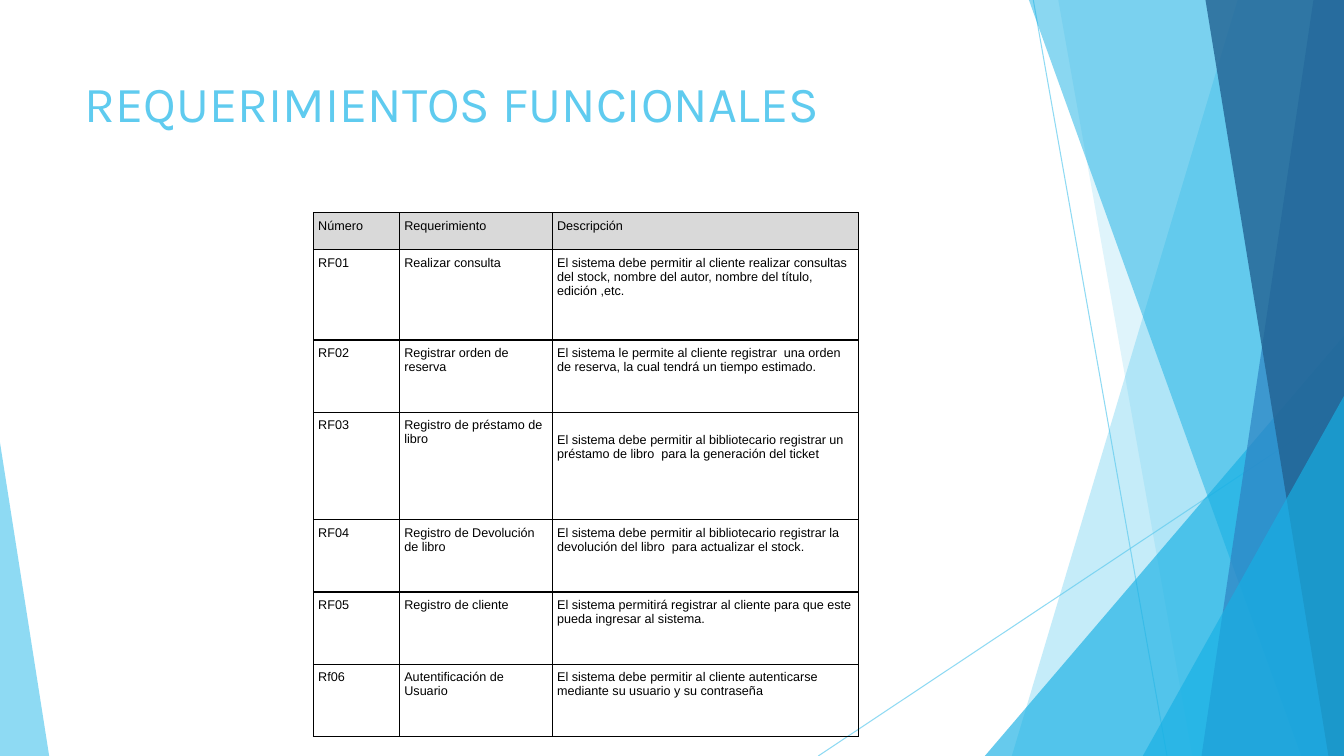
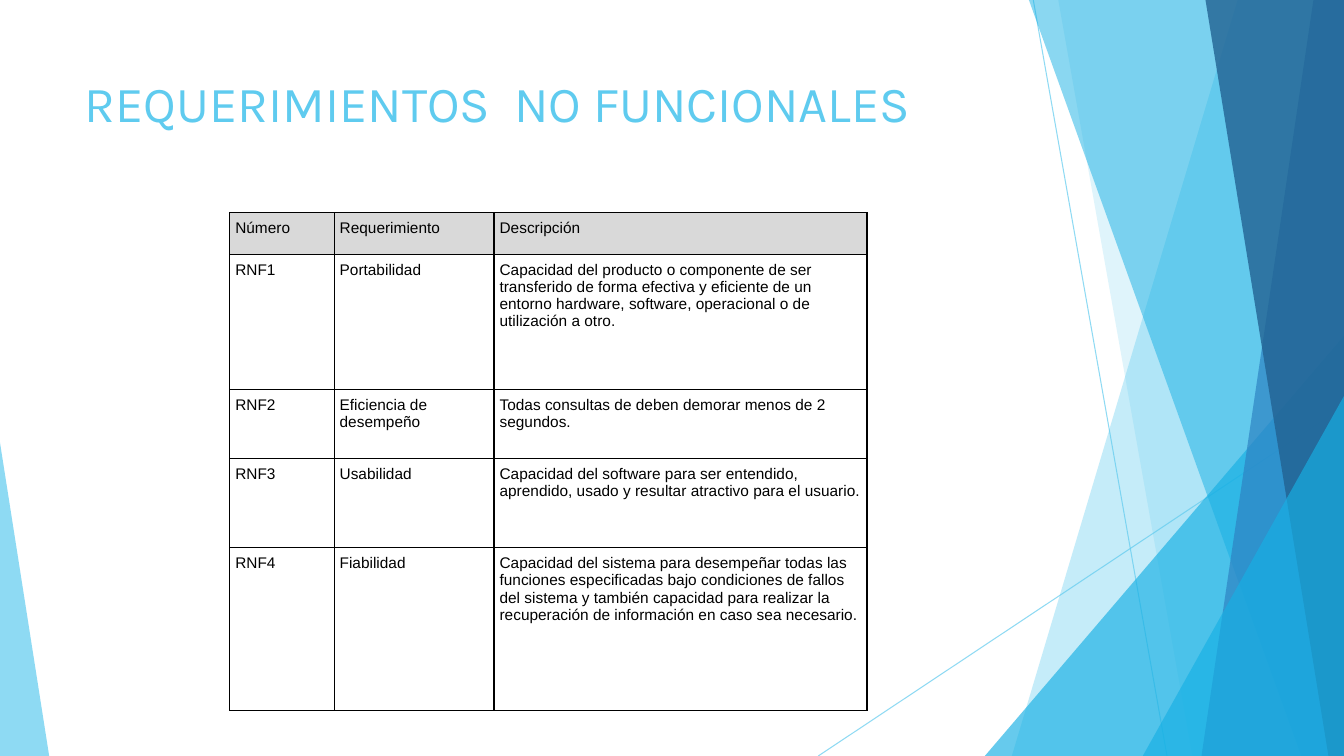
from lxml.etree import SubElement
from pptx import Presentation
from pptx.dml.color import RGBColor
from pptx.enum.shapes import MSO_CONNECTOR, MSO_SHAPE
from pptx.enum.text import MSO_ANCHOR
from pptx.oxml.ns import qn
from pptx.util import Cm, Pt

WIDTH, HEIGHT = 33.87, 19.05
COLORS = {
    "sky": "5FCBEF",
    "cyan": "17B0E4",
    "blue": "2E83C3",
    "navy": "226292",
    "header": "D9D9D9",
    "ink": "000000",
}
TITLE_FONT, TABLE_FONT = "Karla", "Arial"

# Thin lines: start x, start y, end x, end y
RAYS = [(26.04, 0, 29.41, HEIGHT), (WIDTH, 10.24, 20.62, HEIGHT)]
# Outlines with colour and opacity in percent, from back to front.
# A band runs from (top x, bottom x) to the right edge of the slide.
# A wedge stands on the bottom edge: left, top, width, apex (0 left, 1 right).
FACETS = [
    ("band", (31.19, 25.5), "sky", 36),
    ("band", (26.67, 30.05), "sky", 20),
    ("wedge", (24.82, 8.46, 9.05, 1), "cyan", 66),
    ("band", (25.93, 32.79), "cyan", 50),
    ("band", (33.1, 30.28), "blue", 70),
    ("band", (30.38, 33.48), "navy", 80),
    ("wedge", (28.8, 9.98, 5.07, 1), "cyan", 66),
    ("wedge", (0, 11.15, 1.24, 0), "sky", 70),
]

HEADINGS = ("Número", "Requerimiento", "Descripción")
FUNCTIONAL = [
    ("RF01", "Realizar consulta",
     "El sistema debe permitir al cliente realizar consultas del stock, "
     "nombre del autor, nombre del título, edición ,etc."),
    ("RF02", "Registrar orden de  reserva",
     "El sistema le permite al cliente registrar  una orden de reserva, "
     "la cual tendrá un tiempo estimado."),
    ("RF03", "Registro de préstamo de libro",
     "El sistema debe permitir al bibliotecario registrar un préstamo de libro  "
     "para la generación del ticket"),
    ("RF04", "Registro de Devolución de libro",
     "El sistema debe permitir al bibliotecario registrar la devolución del libro  "
     "para actualizar el stock."),
    ("RF05", "Registro de cliente",
     "El sistema permitirá registrar al cliente para que este pueda ingresar al sistema."),
    ("Rf06", "Autentificación de Usuario",
     "El sistema debe permitir al cliente autenticarse mediante su usuario y su contraseña"),
]
NON_FUNCTIONAL = [
    ("RNF1", "Portabilidad",
     "Capacidad del producto o componente de ser transferido de forma efectiva y "
     "eficiente de un entorno hardware, software, operacional o de utilización a otro."),
    ("RNF2", "Eficiencia de desempeño",
     "Todas consultas de deben demorar menos de 2 segundos."),
    ("RNF3", "Usabilidad",
     "Capacidad del software para ser entendido, aprendido, usado y resultar "
     "atractivo para el usuario."),
    ("RNF4", "Fiabilidad",
     "Capacidad del sistema para desempeñar todas las funciones especificadas bajo "
     "condiciones de fallos del sistema y también capacidad para realizar la "
     "recuperación de información en caso sea necesario."),
]


def rgb(name):
    return RGBColor.from_string(COLORS[name])


def set_opacity(shape, percent):
    color = shape._element.spPr.find(".//" + qn("a:srgbClr"))
    SubElement(color, qn("a:alpha"), val=str(percent * 1000))


def add_borders(cell):
    properties = cell._tc.get_or_add_tcPr()
    for side in ("lnL", "lnR", "lnT", "lnB"):
        border = SubElement(properties, qn(f"a:{side}"), w=str(Pt(1)))
        fill = SubElement(border, qn("a:solidFill"))
        SubElement(fill, qn("a:srgbClr"), val=COLORS["ink"])


class Deck:
    """Holds the shared style and the slide being filled."""

    def __init__(self):
        self.presentation = Presentation()
        self.presentation.slide_width = Cm(WIDTH)
        self.presentation.slide_height = Cm(HEIGHT)
        self.slide = None

    def add_slide(self, title):
        self.slide = self.presentation.slides.add_slide(self.presentation.slide_layouts[6])
        for ray in RAYS:
            self.add_ray(*ray)
        for kind, geometry, color, opacity in FACETS:
            draw = self.add_band if kind == "band" else self.add_wedge
            self.paint(draw(*geometry), color, opacity)
        self.add_title(title)

    def add_ray(self, *ends):
        ray = self.slide.shapes.add_connector(MSO_CONNECTOR.STRAIGHT, *map(Cm, ends))
        ray.line.color.rgb = rgb("sky")
        ray.line.width = Pt(0.75)
        set_opacity(ray, 70)
        SubElement(ray._element.spPr, qn("a:effectLst"))

    def add_band(self, top_x, bottom_x):
        outline = self.slide.shapes.build_freeform(Cm(top_x), 0)
        corners = [(WIDTH, 0), (WIDTH, HEIGHT), (bottom_x, HEIGHT)]
        outline.add_line_segments([(Cm(x), Cm(y)) for x, y in corners], close=True)
        return outline.convert_to_shape()

    def add_wedge(self, left, top, width, apex):
        wedge = self.slide.shapes.add_shape(
            MSO_SHAPE.ISOSCELES_TRIANGLE, Cm(left), Cm(top), Cm(width), Cm(HEIGHT - top))
        wedge.adjustments[0] = apex
        return wedge

    def paint(self, shape, color, opacity):
        shape.shadow.inherit = False
        shape.fill.solid()
        shape.fill.fore_color.rgb = rgb(color)
        shape.line.fill.background()
        set_opacity(shape, opacity)

    def add_title(self, text):
        frame = self.slide.shapes.add_textbox(
            Cm(1.88), Cm(1.7), Cm(23.88), Cm(3.66)).text_frame
        frame.word_wrap = True
        frame.vertical_anchor = MSO_ANCHOR.TOP
        frame.text = text
        self.style_text(frame, TITLE_FONT, 36, "sky")

    def style_text(self, frame, font_name, size, color):
        for paragraph in frame.paragraphs:
            for run in paragraph.runs:
                run.font.name = font_name
                run.font.size = Pt(size)
                run.font.color.rgb = rgb(color)

    def add_requirements(self, rows, left, widths, heights, size, inset):
        """Add a table; inset is the (side, top and bottom) cell margin."""
        table = self.slide.shapes.add_table(
            len(heights), len(widths), Cm(left), Cm(5.36),
            Cm(sum(widths)), Cm(sum(heights))).table
        table.first_row = table.horz_banding = False
        for column, width in zip(table.columns, widths):
            column.width = Cm(width)
        for row, height, texts in zip(table.rows, heights, [HEADINGS, *rows]):
            row.height = Cm(height)
            for cell, text in zip(row.cells, texts):
                self.fill_cell(cell, text, size, inset)
        for cell in table.rows[0].cells:
            cell.fill.solid()
            cell.fill.fore_color.rgb = rgb("header")
        return table

    def fill_cell(self, cell, text, size, inset):
        cell.margin_left = cell.margin_right = Cm(inset[0])
        cell.margin_top = cell.margin_bottom = Cm(inset[1])
        cell.vertical_anchor = MSO_ANCHOR.TOP
        cell.text_frame.text = text
        self.style_text(cell.text_frame, TABLE_FONT, size, "ink")
        add_borders(cell)
        cell.fill.background()


def main():
    deck = Deck()

    deck.add_slide("REQUERIMIENTOS FUNCIONALES")
    functional = deck.add_requirements(
        FUNCTIONAL, left=7.9, widths=(2.17, 3.85, 7.71),
        heights=(0.93, 2.28, 1.82, 2.71, 1.82, 1.82, 1.82), size=9, inset=(0.12, 0.15))
    loan_description = functional.cell(3, 2)
    loan_description.margin_top += Cm(0.37)  # starts one line lower

    deck.add_slide("REQUERIMIENTOS  NO FUNCIONALES")
    deck.add_requirements(
        NON_FUNCTIONAL, left=5.79, widths=(2.63, 4.03, 9.4),
        heights=(1.05, 3.4, 1.75, 2.24, 4.11), size=11, inset=(0.14, 0.18))

    deck.presentation.save("out.pptx")


if __name__ == "__main__":
    main()
